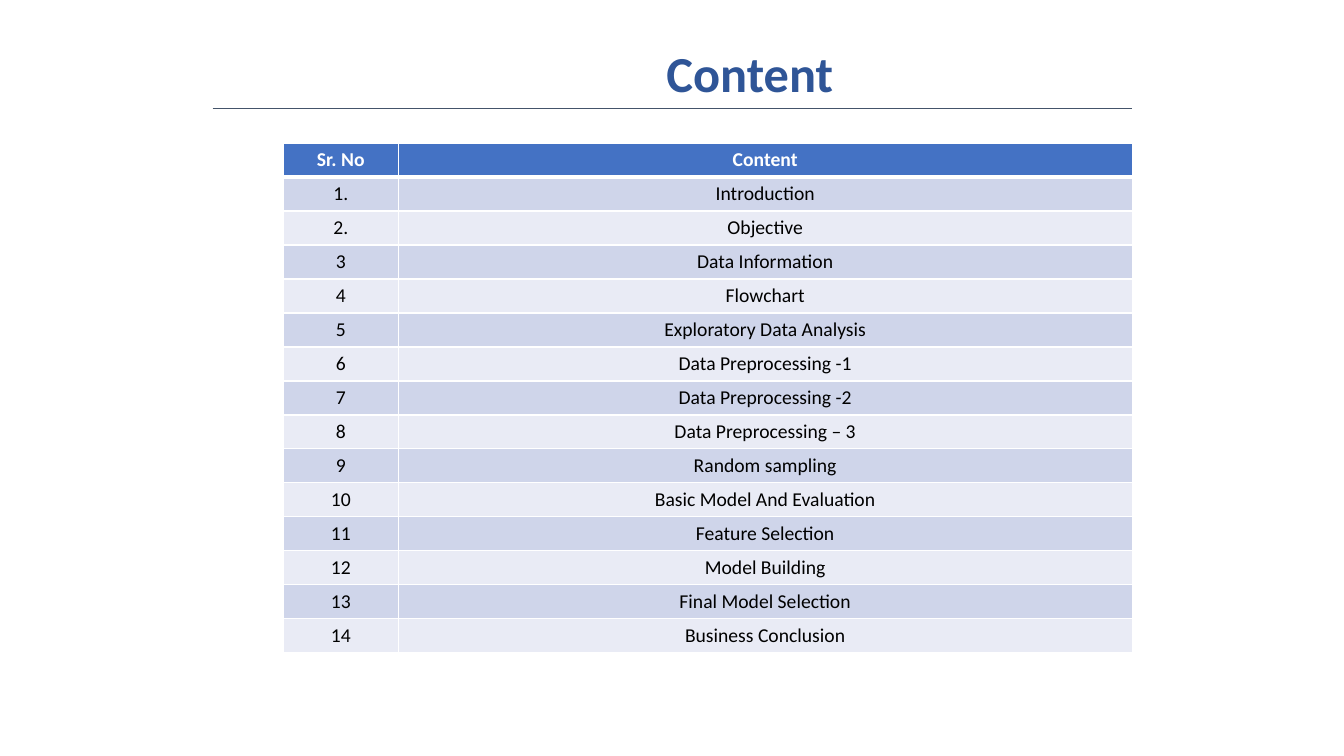
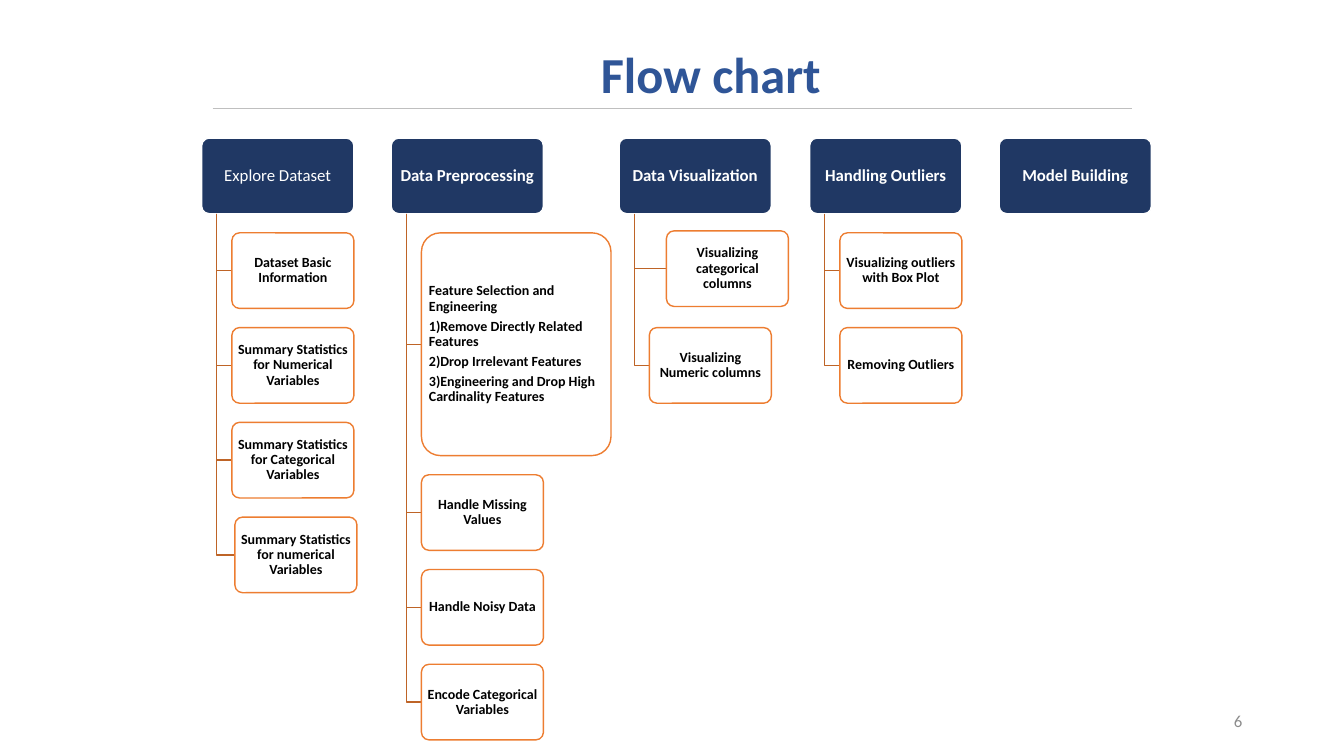
import pptx
import pptx.util
import pptx.dml.color
import pptx.enum.shapes
import pptx.enum.text
import pptx.oxml
import pptx.oxml.ns
from lxml import etree

Inches, Pt = pptx.util.Inches, pptx.util.Pt
ALIGN = pptx.enum.text.PP_ALIGN
ANCHOR = pptx.enum.text.MSO_ANCHOR
qn = pptx.oxml.ns.qn

FONT = "Calibri"
BLACK, WHITE = "000000", "FFFFFF"
TITLE_BLUE = "2F5597"
NAVY, ORANGE, BROWN = "203864", "ED7D31", "BE6427"
HEADER_BLUE, BANDS = "4472C4", ("CFD5EA", "E9EBF5")
RULE_DARK, RULE_LIGHT, PAGE_GREY = "44546A", "BFBFBF", "8C8C8C"

TOPICS = [
    ("1.", "Introduction"),
    ("2.", "Objective"),
    ("3", "Data Information"),
    ("4", "Flowchart"),
    ("5", "Exploratory Data Analysis"),
    ("6", "Data Preprocessing -1"),
    ("7", "Data Preprocessing -2"),
    ("8", "Data Preprocessing – 3"),
    ("9", "Random sampling"),
    ("10", "Basic Model And Evaluation"),
    ("11", "Feature Selection"),
    ("12", "Model Building"),
    ("13", "Final Model Selection"),
    ("14", "Business Conclusion"),
]

# Each stage: left edge, heading, bold heading, steps.
# A step may carry its own size (w, h) or a nudge (dx, dy).
STAGES = [
    (2, "Explore Dataset", False, [
        {"lines": ["Dataset Basic Information"]},
        {"lines": ["Summary Statistics for Numerical Variables"]},
        {"lines": ["Summary Statistics for Categorical Variables"]},
        {"lines": ["Summary Statistics for numerical Variables"], "dx": 0.03},
    ]),
    (3.88, "Data Preprocessing", True, [
        {"lines": ["Feature Selection and Engineering",
                   "1)Remove Directly Related Features",
                   "2)Drop Irrelevant Features",
                   "3)Engineering and Drop High Cardinality Features"],
         "w": 1.88, "h": 2.21},
        {"lines": ["Handle Missing Values"]},
        {"lines": ["Handle Noisy Data"]},
        {"lines": ["Encode Categorical Variables"]},
    ]),
    (6.14, "Data Visualization", True, [
        {"lines": ["Visualizing categorical columns"], "dx": 0.17, "dy": -0.02},
        {"lines": ["Visualizing Numeric columns"]},
    ]),
    (8.03, "Handling Outliers", True, [
        {"lines": ["Visualizing outliers with Box Plot"]},
        {"lines": ["Removing Outliers"]},
    ]),
    (9.91, "Model Building", True, []),
]
STAGE_TOP, STAGE_W, BOX_H = 1.37, 1.51, 0.75
STEP_W, STEP_INDENT, STEP_GAP = 1.21, 0.3, 0.19


def rgb(color):
    return pptx.dml.color.RGBColor.from_string(color)


def add_run(p, text, size, color, bold=False):
    r = p.add_run()
    r.text = text
    r.font.name = FONT
    r.font.size = Pt(size)
    r.font.bold = bold
    r.font.color.rgb = rgb(color)


def set_margins(tf, x, y):
    tf.margin_left = tf.margin_right = Inches(x)
    tf.margin_top = tf.margin_bottom = Inches(y)


def add_titled_slide(prs, title, left, top, width, rule_color):
    """Add a Title Only slide with its heading and the rule below it."""
    s = prs.slides.add_slide(prs.slide_layouts[5])
    sp = s.shapes.title
    sp.left, sp.top = Inches(left), Inches(top)
    sp.width, sp.height = Inches(width), Inches(0.71)
    tf = sp.text_frame
    tf.auto_size = pptx.enum.text.MSO_AUTO_SIZE.NONE
    tf.vertical_anchor = ANCHOR.TOP
    p = tf.paragraphs[0]
    p.alignment = ALIGN.LEFT
    add_run(p, title, 36, TITLE_BLUE, True)

    rule = s.shapes.add_connector(
        pptx.enum.shapes.MSO_CONNECTOR.STRAIGHT,
        Inches(2.11), Inches(1.08), Inches(11.23), Inches(1.08))
    rule.line.color.rgb = rgb(rule_color)
    rule.line.width = Pt(0.75)
    etree.SubElement(rule._element.spPr, qn("a:effectLst"))
    return s


def set_borders(cell, bottom):
    """Draw white borders, 1 pt wide except for the bottom one."""
    tcPr = cell._tc.get_or_add_tcPr()
    for tag, width in (("lnL", 1), ("lnR", 1), ("lnT", 1), ("lnB", bottom)):
        ln = etree.SubElement(tcPr, qn("a:" + tag), w=str(Pt(width)))
        fill = etree.SubElement(ln, qn("a:solidFill"))
        etree.SubElement(fill, qn("a:srgbClr"), val=WHITE)


def add_topic_table(s):
    rows = [("Sr. No", "Content")] + TOPICS
    table = s.shapes.add_table(len(rows), 2, Inches(2.81), Inches(1.42),
                               Inches(8.42), Inches(0.32 * len(rows))).table
    for column, width in zip(table.columns, (1.14, 7.28)):
        column.width = Inches(width)
    for i, row in enumerate(rows):
        header = i == 0
        for j, text in enumerate(row):
            cell = table.cell(i, j)
            set_borders(cell, 3 if header else 1)
            cell.fill.solid()
            cell.fill.fore_color.rgb = rgb(
                HEADER_BLUE if header else BANDS[(i - 1) % 2])
            p = cell.text_frame.paragraphs[0]
            p.alignment = ALIGN.CENTER
            add_run(p, text, 14, WHITE if header else BLACK, header)


def add_box(s, x, y, w, h, fill, line):
    sp = s.shapes.add_shape(pptx.enum.shapes.MSO_SHAPE.ROUNDED_RECTANGLE,
                            Inches(x), Inches(y), Inches(w), Inches(h))
    sp.adjustments[0] = 0.1
    sp.shadow.inherit = False
    sp.fill.solid()
    sp.fill.fore_color.rgb = rgb(fill)
    sp.line.color.rgb = rgb(line)
    sp.line.width = Pt(1)
    return sp


def write_lines(sp, lines, size, color, bold):
    """Centre a single line of thought; align several to the left."""
    tf = sp.text_frame
    tf.word_wrap = True
    tf.vertical_anchor = ANCHOR.MIDDLE
    for i, text in enumerate(lines):
        p = tf.add_paragraph() if i else tf.paragraphs[0]
        p.alignment = ALIGN.LEFT if len(lines) > 1 else ALIGN.CENTER
        p.line_spacing = 0.9
        p.space_after = Pt(3.5)
        add_run(p, text, size, color, bold)


def add_elbow(s, x, y, end_x, end_y):
    """Draw a line down from (x, y), then right to (end_x, end_y)."""
    builder = s.shapes.build_freeform(Inches(x), Inches(y))
    builder.add_line_segments([(Inches(x), Inches(end_y)),
                               (Inches(end_x), Inches(end_y))], close=False)
    sp = builder.convert_to_shape()
    sp.shadow.inherit = False
    sp.fill.background()
    sp.line.color.rgb = rgb(BROWN)
    sp.line.width = Pt(1)


def add_stage(s, x, heading, bold, steps):
    sp = add_box(s, x, STAGE_TOP, STAGE_W, BOX_H, NAVY, WHITE)
    set_margins(sp.text_frame, 0.03, 0.02)
    write_lines(sp, [heading], 12, WHITE, bold)

    bottom = STAGE_TOP + BOX_H
    y = bottom + STEP_GAP
    for step in steps:
        w, h = step.get("w", STEP_W), step.get("h", BOX_H)
        left = x + STEP_INDENT + step.get("dx", 0)
        top = y + step.get("dy", 0)
        add_elbow(s, x + STEP_INDENT / 2, bottom, left, top + h / 2)
        sp = add_box(s, left, top, w, h, WHITE, ORANGE)
        set_margins(sp.text_frame, 0.02, 0.01)
        write_lines(sp, step["lines"], 10, BLACK, True)
        y += h + STEP_GAP


def add_page_number(s, number):
    sp = s.shapes.add_textbox(Inches(9.42), Inches(6.95), Inches(3), Inches(0.4))
    tf = sp.text_frame
    tf.word_wrap = True
    tf.vertical_anchor = ANCHOR.MIDDLE
    p = tf.paragraphs[0]
    p.alignment = ALIGN.RIGHT
    add_run(p, number, 12, PAGE_GREY)


def main():
    prs = pptx.Presentation()
    prs.slide_width, prs.slide_height = Inches(13.33), Inches(7.5)

    s = add_titled_slide(prs, "Content", 6.51, 0.37, 4.29, RULE_DARK)
    add_topic_table(s)

    s = add_titled_slide(prs, "Flow chart", 5.86, 0.38, 2.53, RULE_LIGHT)
    for stage in STAGES:
        add_stage(s, *stage)
    add_page_number(s, "6")

    prs.save("out.pptx")


if __name__ == "__main__":
    main()
